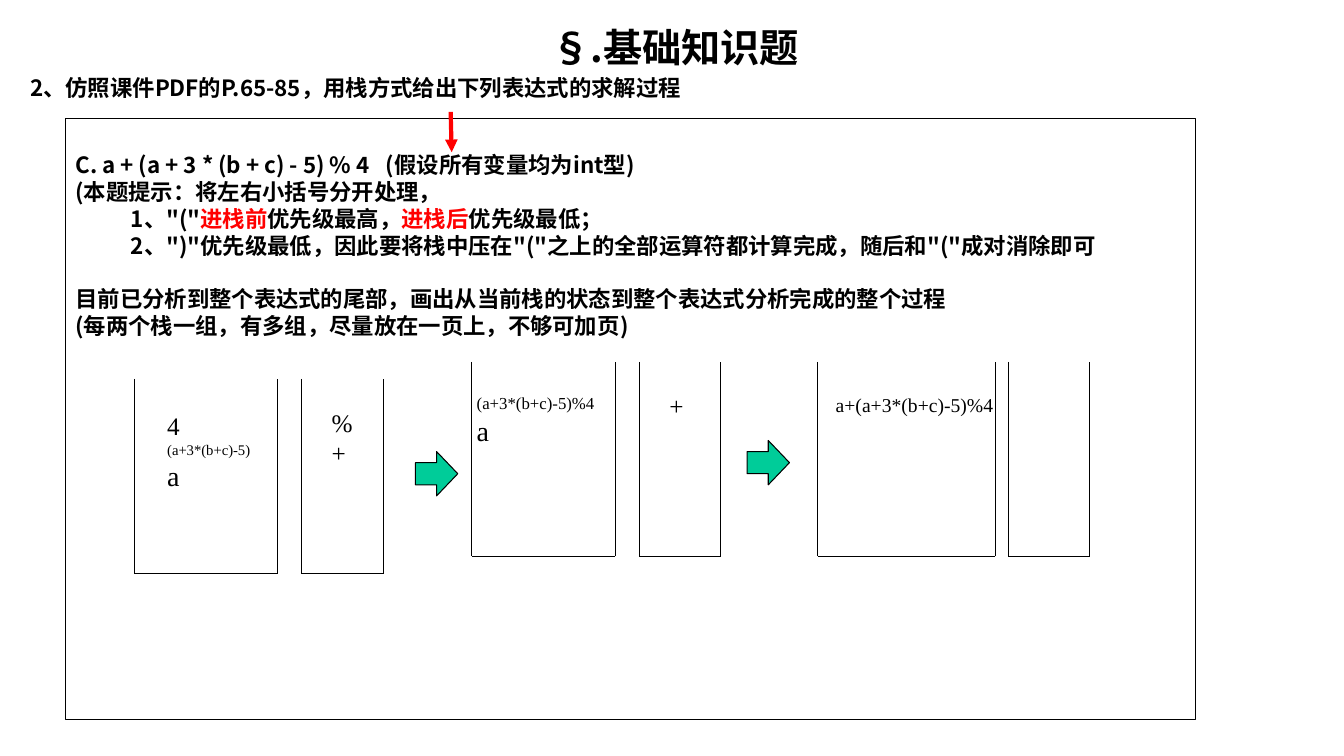
from lxml.etree import SubElement
from pptx import Presentation
from pptx.dml.color import RGBColor
from pptx.enum.shapes import MSO_CONNECTOR as Connector, MSO_SHAPE as Shape
from pptx.enum.text import MSO_ANCHOR as Anchor, MSO_AUTO_SIZE as AutoSize, PP_ALIGN as Align
from pptx.oxml.ns import qn
from pptx.util import Inches, Pt

SANS, SERIF = "Noto Sans CJK SC", "Times New Roman"
BLACK, RED, GREEN = "000000", "FF0000", "00CC99"
LINE_RATIO = 1.2
STACK_HEIGHT, OPERATOR_WIDTH = 1.93, 0.81

HINTS = [
    {"spans": [("C. a + (a + 3 * (b + c) - 5) % 4\t(假设所有变量均为int型)", BLACK)], "tab": 3.08},
    {"spans": [("(本题提示：将左右小括号分开处理，", BLACK)]},
    {"spans": [("1、\"(\"", BLACK), ("进栈前", RED), ("优先级最高，", BLACK),
               ("进栈后", RED), ("优先级最低；", BLACK)], "indent": 0.55},
    {"spans": [("2、\")\"优先级最低，因此要将栈中压在\"(\"之上的全部运算符都计算完成，"
                "随后和\"(\"成对消除即可", BLACK)], "indent": 0.55},
    {"spans": [("目前已分析到整个表达式的尾部，画出从当前栈的状态到整个表达式分析完成的整个过程", BLACK)],
     "before": 16 * LINE_RATIO},
    {"spans": [("(每两个栈一组，有多组，尽量放在一页上，不够可加页)", BLACK)]},
]

STACK_PAIRS = [
    {"box": (1.33, 3.76, 1.42), "gap": 0.24, "inset": 0.23, "text_width": 1.15,
     "values": [("4", 18), ("(a+3*(b+c)-5)", 10.5), ("a", 20)], "operators": ["%", "+"]},
    {"box": (4.68, 3.59, 1.42), "gap": 0.24, "inset": -0.05, "text_width": 1.63,
     "values": [("(a+3*(b+c)-5)%4", 12), ("a", 20)], "operators": ["+"]},
    {"box": (8.11, 3.59, 1.76), "gap": 0.13, "inset": 0.08, "text_width": 1.95,
     "values": [("a+(a+3*(b+c)-5)%4", 14)], "operators": []},
]


def color(value):
    return RGBColor.from_string(value)


def apply_format(target, values):
    for name, value in values.items():
        setattr(target, name, value)


def inches(*lengths):
    return [Inches(length) for length in lengths]


def add_span(para, text, size, font, shade=BLACK, bold=False):
    span = para.add_run()
    span.text = text
    apply_format(span.font, {"size": Pt(size), "name": font, "bold": bold})
    span.font.color.rgb = color(shade)
    SubElement(span._r.get_or_add_rPr(), qn("a:ea")).set("typeface", font)


def next_para(frame, index):
    return frame.paragraphs[0] if index == 0 else frame.add_paragraph()


def add_heading(frame, text, size, align):
    apply_format(frame, {"word_wrap": True, "auto_size": AutoSize.NONE, "vertical_anchor": Anchor.TOP,
                         "margin_left": Inches(0.1), "margin_right": Inches(0.1),
                         "margin_top": Inches(0.05), "margin_bottom": Inches(0.05)})
    para = frame.paragraphs[0]
    apply_format(para, {"alignment": align, "line_spacing": Pt(size * LINE_RATIO), "space_before": Pt(0)})
    add_span(para, text, size, SANS, bold=True)


def add_headings(page, left, top, width):
    title = page.shapes.title
    apply_format(title, dict(zip(("left", "top", "width", "height"), inches(left, top, width, 0.57))))
    add_heading(title.text_frame, "§.基础知识题", 28, Align.CENTER)
    question = page.shapes.add_textbox(*inches(left, top + 0.51, width, 0.37))
    add_heading(question.text_frame, "2、仿照课件PDF的P.65-85，用栈方式给出下列表达式的求解过程", 16, Align.LEFT)


def add_panel(page, left, top, width, height):
    panel = page.shapes.add_shape(Shape.RECTANGLE, *inches(left, top, width, height))
    panel.shadow.inherit = False
    panel.fill.background()
    panel.line.color.rgb = color(BLACK)
    panel.line.width = Pt(0.75)
    frame = panel.text_frame
    apply_format(frame, {"word_wrap": True, "vertical_anchor": Anchor.TOP, "margin_top": Inches(0.32)})
    for index, hint in enumerate(HINTS):
        para = next_para(frame, index)
        properties = para._p.get_or_add_pPr()
        if "indent" in hint:
            properties.set("marL", str(Inches(hint["indent"])))
        if "tab" in hint:
            tabs = SubElement(properties, qn("a:tabLst"))
            SubElement(tabs, qn("a:tab"), pos=str(Inches(hint["tab"])), algn="l")
        apply_format(para, {"alignment": Align.LEFT, "line_spacing": Pt(16 * LINE_RATIO),
                            "space_before": Pt(hint.get("before", 0))})
        for text, shade in hint["spans"]:
            add_span(para, text, 16, SANS, shade, True)


def add_line(shapes, start, end, shade=BLACK, weight=0.75):
    line = shapes.add_connector(Connector.STRAIGHT, *inches(*start, *end))
    line.line.color.rgb = color(shade)
    line.line.width = Pt(weight)
    SubElement(line._element.spPr, qn("a:effectLst"))
    return line


def add_pointer(page, start, end):
    pointer = add_line(page.shapes, start, end, RED, 3)
    SubElement(pointer.line._get_or_add_ln(), qn("a:tailEnd"), type="triangle")


def add_stack(shapes, left, top, width):
    right, bottom = left + width, top + STACK_HEIGHT
    corners = [(left, top), (left, bottom), (right, bottom), (right, top)]
    for start, end in zip(corners, corners[1:]):
        add_line(shapes, start, end)


def add_entries(shapes, left, top, width, entries):
    height = 0.1 + sum(size for _, size in entries) * 1.15 / 72
    frame = shapes.add_textbox(*inches(left, top, width, height)).text_frame
    frame.word_wrap = True
    for index, (text, size) in enumerate(entries):
        add_span(next_para(frame, index), text, size, SERIF)


def add_stack_pair(page, pair):
    left, top, width = pair["box"]
    shapes = page.shapes.add_group_shape().shapes
    operator_left = left + width + pair["gap"]
    add_stack(shapes, left, top, width)
    add_stack(shapes, operator_left, top, OPERATOR_WIDTH)
    add_entries(shapes, left + pair["inset"], top + 0.26, pair["text_width"], pair["values"])
    if pair["operators"]:
        entries = [(sign, 18) for sign in pair["operators"]]
        add_entries(shapes, operator_left + 0.2, top + 0.23, 0.4, entries)


def add_step_arrow(page, left, top):
    arrow = page.shapes.add_shape(Shape.RIGHT_ARROW, *inches(left, top, 0.42, 0.44))
    arrow.shadow.inherit = False
    arrow.fill.solid()
    arrow.fill.fore_color.rgb = color(GREEN)
    arrow.line.color.rgb = color(BLACK)
    arrow.line.width = Pt(0.75)


def main():
    deck = Presentation()
    apply_format(deck, {"slide_width": Inches(13.33), "slide_height": Inches(7.5)})
    page = deck.slides.add_slide(deck.slide_layouts[5])
    add_headings(page, 0.2, 0.18, 12.99)
    add_panel(page, 0.65, 1.18, 11.21, 5.96)
    add_pointer(page, (4.47, 1.11), (4.48, 1.51))
    for pair in STACK_PAIRS:
        add_stack_pair(page, pair)
    for left, top in [(4.12, 4.48), (7.41, 4.37)]:
        add_step_arrow(page, left, top)
    deck.save("out.pptx")


if __name__ == "__main__":
    main()
